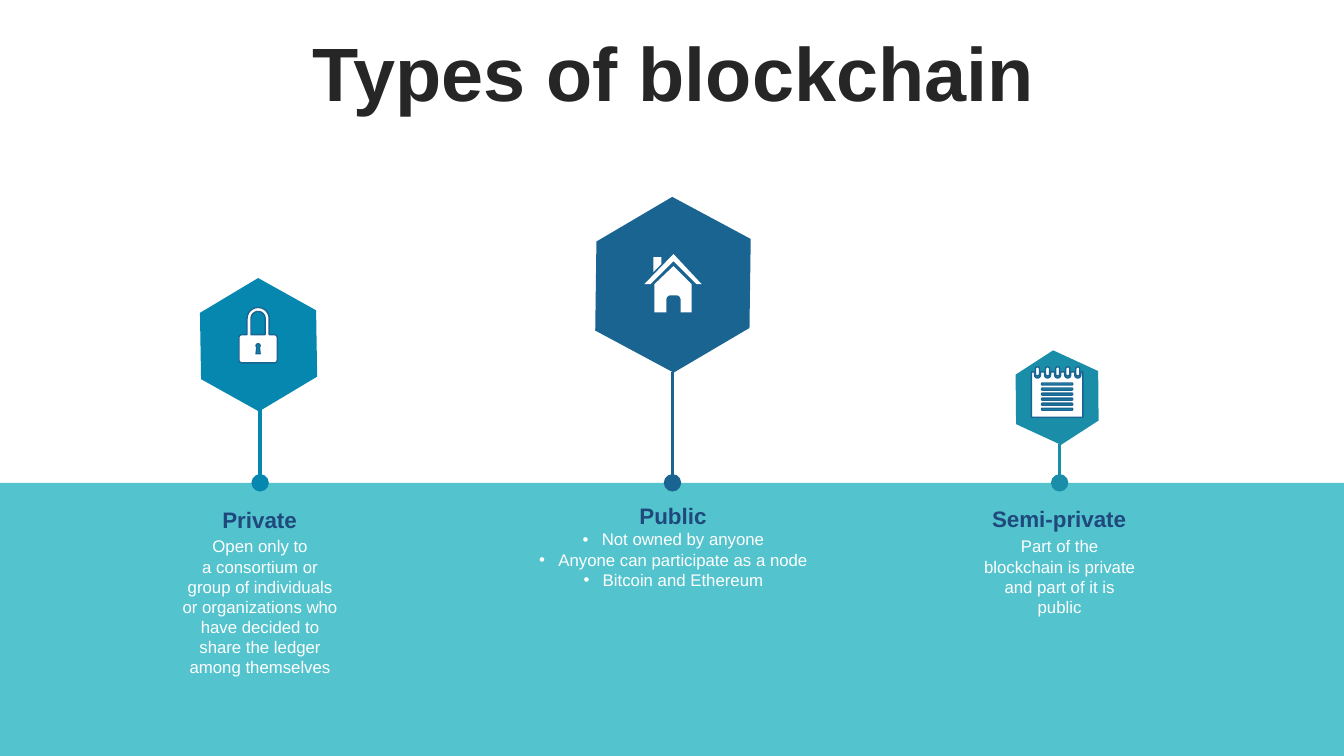
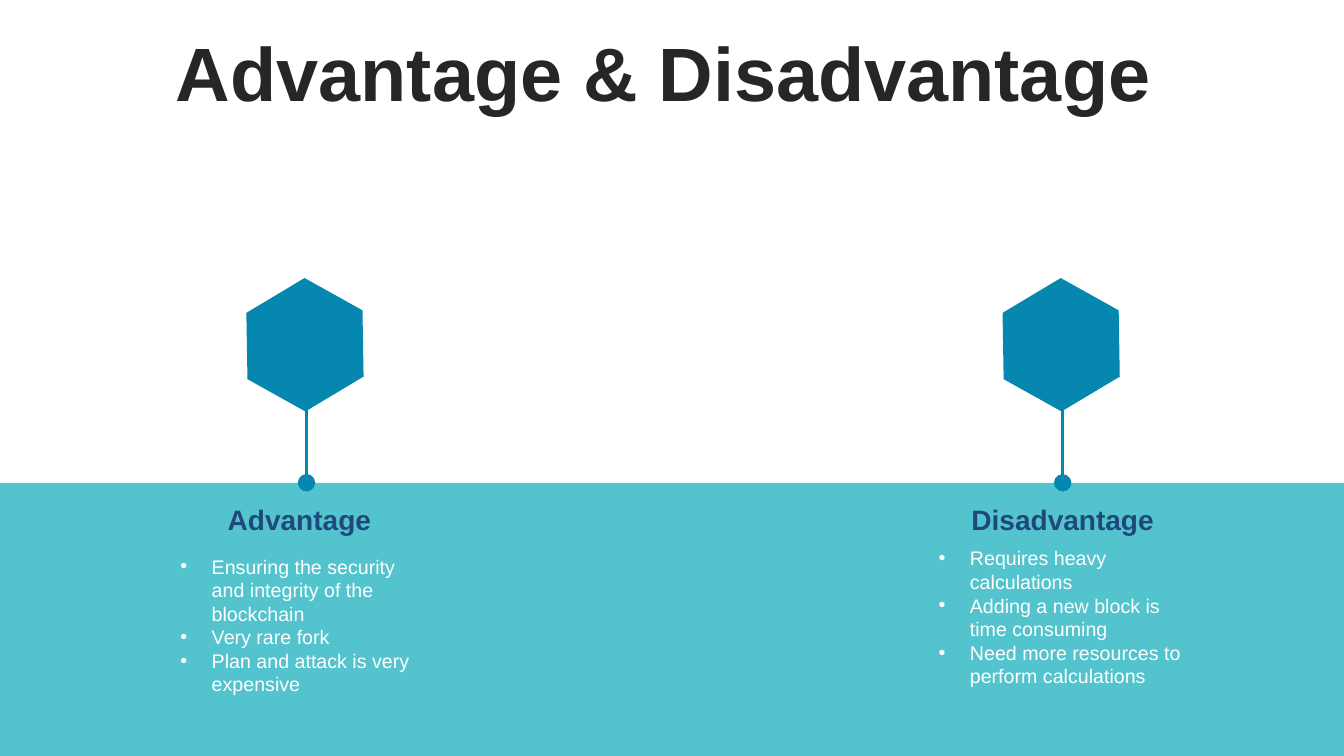
from math import cos, radians, sin

from lxml.etree import SubElement
from pptx import Presentation
from pptx.dml.color import RGBColor
from pptx.enum.shapes import MSO_CONNECTOR, MSO_SHAPE
from pptx.enum.text import MSO_ANCHOR, MSO_AUTO_SIZE, PP_ALIGN
from pptx.oxml.ns import qn
from pptx.util import Pt

PX = 9144
WIDTH, HEIGHT, BAND_TOP = 1333, 750, 479
FONT = "Arial"
COLORS = {
    "title": "262626",
    "heading": "1F497D",
    "white": "FFFFFF",
    "band": "53C3CD",
    "small": "1A8EA9",
    "medium": "0587AF",
    "large": "196491",
}
PINS = {
    "small": {"size": (97, 83), "rotation": 327.1, "slant": 0.317, "stem": (51, 87)},
    "medium": {"size": (133, 114), "rotation": 329.1, "slant": 0.288, "stem": (68, 117)},
    "large": {"size": (179, 151), "rotation": 329.5, "slant": 0.304, "stem": (89, 162)},
}


def arc(center_x, center_y, radius, start, end, steps=12):
    """Return points along an arc, with angles in degrees clockwise from the right."""
    angles = [radians(start + (end - start) * step / steps) for step in range(steps + 1)]
    return [(center_x + radius * cos(a), center_y + radius * sin(a)) for a in angles]


def pill(left, top, width, height):
    """Return the outline of a rectangle with fully rounded ends."""
    radius = min(width, height) / 2
    right, bottom = left + width - radius, top + height - radius
    corners = [(left + radius, top + radius, 180), (right, top + radius, 270),
               (right, bottom, 0), (left + radius, bottom, 90)]
    return [point for x, y, start in corners for point in arc(x, y, radius, start, start + 90)]


def house_outlines():
    """Return the outlines of the house icon."""
    door = arc(671, 297, 4, 0, -90) + arc(665, 297, 4, -90, -180)
    walls = [(668, 264), (686, 282), (686, 310), (675, 310), *door,
             (661, 310), (649, 310), (649, 282)]
    chimney = [(648, 255), (656, 255), (656, 262), (648, 270)]
    roof = [(668, 252), (696, 282), (691, 282), (668, 259), (645, 282), (639, 282)]
    return [walls, chimney, roof]


def padlock_outlines():
    """Return the outlines of the padlock icon."""
    body = [*arc(256, 316, 11, 180, 360), (267, 332), *arc(272, 335, 3, -90, 0),
            *arc(272, 357, 3, 0, 90), *arc(240, 357, 3, 90, 180),
            *arc(240, 335, 3, 180, 270), (245, 332)]
    opening = [*arc(256, 316, 7, 180, 360), (263, 332), (249, 332)]
    keyhole = [*arc(256, 343, 2, 130, 410), (258, 351), (254, 351)]
    return [body, opening, keyhole]


def notepad_outlines():
    """Return the outlines of the notepad icon."""
    centers = range(1029, 1070, 10)
    notches = [point for x in centers
               for point in [(x - 3, 369), *arc(x, 372, 3, 180, 0), (x + 3, 369)]]
    page = [(1023, 369), *notches, (1074, 369), (1074, 414), (1023, 414)]
    rings = [pill(x - 2, 364, 4, 9) for x in centers]
    rules = [pill(1033, y, 31, 2) for y in range(380, 406, 5)]
    return [page, *rings, *rules]


class Deck:
    """Hold the shared style and the current slide."""

    def __init__(self):
        """Start an empty widescreen presentation."""
        self.presentation = Presentation()
        self.presentation.slide_width = WIDTH * PX
        self.presentation.slide_height = HEIGHT * PX
        self.slide = None

    def color(self, name):
        """Return a palette colour."""
        return RGBColor.from_string(COLORS[name])

    def place(self, shape, box):
        """Move and size a shape to a box in px."""
        shape.left, shape.top, shape.width, shape.height = (value * PX for value in box)

    def paint(self, shape, fill, line=None):
        """Give a shape a flat fill and an optional thin outline."""
        shape.shadow.inherit = False
        shape.fill.solid()
        shape.fill.fore_color.rgb = self.color(fill)
        if line:
            shape.line.color.rgb = self.color(line)
            shape.line.width = Pt(1)
        else:
            shape.line.fill.background()

    def set_text(self, shape, lines, size, color, bold=False, anchor=MSO_ANCHOR.TOP,
                 align=PP_ALIGN.CENTER, indent=0, spacing=1.0):
        """Fill a shape with styled paragraphs, bulleted when indented."""
        frame = shape.text_frame
        frame.word_wrap = True
        frame.auto_size = MSO_AUTO_SIZE.NONE
        frame.vertical_anchor = anchor
        frame.text = "\n".join(lines)
        for paragraph in frame.paragraphs:
            if indent:
                properties = paragraph._p.get_or_add_pPr()
                properties.set("marL", str(indent * PX))
                properties.set("indent", str(-indent * PX))
                SubElement(properties, qn("a:buFont"), typeface=FONT)
                SubElement(properties, qn("a:buChar"), char="•")
            paragraph.alignment = align
            paragraph.space_before = Pt(0)
            paragraph.line_spacing = spacing
            for run in paragraph.runs:
                run.font.name = FONT
                run.font.size = Pt(size)
                run.font.bold = bold
                run.font.color.rgb = self.color(color)

    def new_slide(self, layout, title, left=35):
        """Add a slide with its title and the lower band."""
        self.slide = self.presentation.slides.add_slide(self.presentation.slide_layouts[layout])
        shape = self.slide.shapes.title
        self.place(shape, (left, 37, 1266, 79))
        self.set_text(shape, [title], 54, "title", True, MSO_ANCHOR.MIDDLE, spacing=0.9)
        band = self.slide.shapes.add_shape(
            MSO_SHAPE.RECTANGLE, 0, BAND_TOP * PX, WIDTH * PX, (HEIGHT - BAND_TOP) * PX)
        self.paint(band, "band")
        shape.element.addprevious(band.element)

    def text(self, box, lines, size, color="white", **style):
        """Add a text box."""
        shape = self.slide.shapes.add_textbox(*(value * PX for value in box))
        self.set_text(shape, lines, size, color, **style)

    def heading(self, box, text, size):
        """Add a bold column heading."""
        self.text(box, [text], size, "heading", bold=True, anchor=MSO_ANCHOR.MIDDLE)

    def bullets(self, index, box, lines, size, align, indent):
        """Fill a body placeholder with a bulleted list."""
        shape = self.slide.placeholders[index]
        self.place(shape, box)
        self.set_text(shape, lines, size, "white", align=align, indent=indent)

    def pin(self, kind, left, top):
        """Add a hexagon whose stem ends in a dot on the band edge."""
        pin = PINS[kind]
        hexagon = self.slide.shapes.add_shape(
            MSO_SHAPE.HEXAGON, left * PX, top * PX, *(value * PX for value in pin["size"]))
        hexagon.adjustments[0] = pin["slant"]
        hexagon.rotation = pin["rotation"]
        self.paint(hexagon, kind)
        stem_x, stem_top = left + pin["stem"][0], top + pin["stem"][1]
        stem = self.slide.shapes.add_connector(
            MSO_CONNECTOR.STRAIGHT, stem_x * PX, stem_top * PX, stem_x * PX, BAND_TOP * PX)
        stem.line.color.rgb = self.color(kind)
        stem.line.width = Pt(2.5)
        properties = stem.element.spPr
        SubElement(properties.get_or_add_ln(), qn("a:tailEnd"), type="oval", w="lg", len="lg")
        SubElement(properties, qn("a:effectLst"))

    def icon(self, outlines, line=None):
        """Add a white icon made of closed outlines."""
        scaled = [[(x * PX, y * PX) for x, y in outline] for outline in outlines]
        builder = self.slide.shapes.build_freeform(*scaled[0][0])
        builder.add_line_segments(scaled[0][1:])
        for outline in scaled[1:]:
            builder.move_to(*outline[0])
            builder.add_line_segments(outline[1:])
        self.paint(builder.convert_to_shape(), "white", line)


def types_slide(deck):
    """Build the slide on the types of blockchain."""
    deck.new_slide(1, "Types of blockchain")
    deck.pin("medium", 190, 285)
    deck.pin("large", 578, 207)
    deck.pin("small", 1000, 353)
    deck.icon(padlock_outlines(), "large")
    deck.icon(house_outlines())
    deck.icon(notepad_outlines(), "large")
    deck.heading((169, 497, 177, 37), "Private", 16)
    deck.text((170, 527, 176, 151), [
        "Open only to",
        "a consortium or group of individuals or organizations who have decided to share the ledger",
        "among themselves"], 12)
    deck.heading((534, 493, 267, 37), "Public", 16)
    deck.bullets(1, (518, 520, 300, 71), [
        "Not owned by anyone",
        "Anyone can participate as a node",
        "Bitcoin and Ethereum"], 12, PP_ALIGN.CENTER, 19)
    deck.heading((962, 496, 177, 37), "Semi-private", 16)
    deck.text((963, 527, 176, 91),
              ["Part of the blockchain is private and part of it is public"], 12)


def comparison_slide(deck):
    """Build the slide comparing advantages and disadvantages."""
    deck.new_slide(3, "Advantage & Disadvantage", left=25)
    columns = [
        (236, (165, 493, 264, 44), "Advantage", (169, 545, 263, 151), [
            "Ensuring the security and integrity of the blockchain",
            "Very rare fork",
            "Plan and attack is very expensive"]),
        (986, (932, 493, 244, 44), "Disadvantage", (921, 537, 264, 151), [
            "Requires heavy calculations",
            "Adding a new block is time consuming",
            "Need more resources to perform calculations"]),
    ]
    for index, (left, heading_box, heading, list_box, lines) in enumerate(columns, start=1):
        deck.pin("medium", left, 285)
        deck.heading(heading_box, heading, 20)
        deck.bullets(index, list_box, lines, 14, PP_ALIGN.LEFT, 31)


def main():
    """Build and save the presentation."""
    deck = Deck()
    types_slide(deck)
    comparison_slide(deck)
    deck.presentation.save("out.pptx")


if __name__ == "__main__":
    main()
